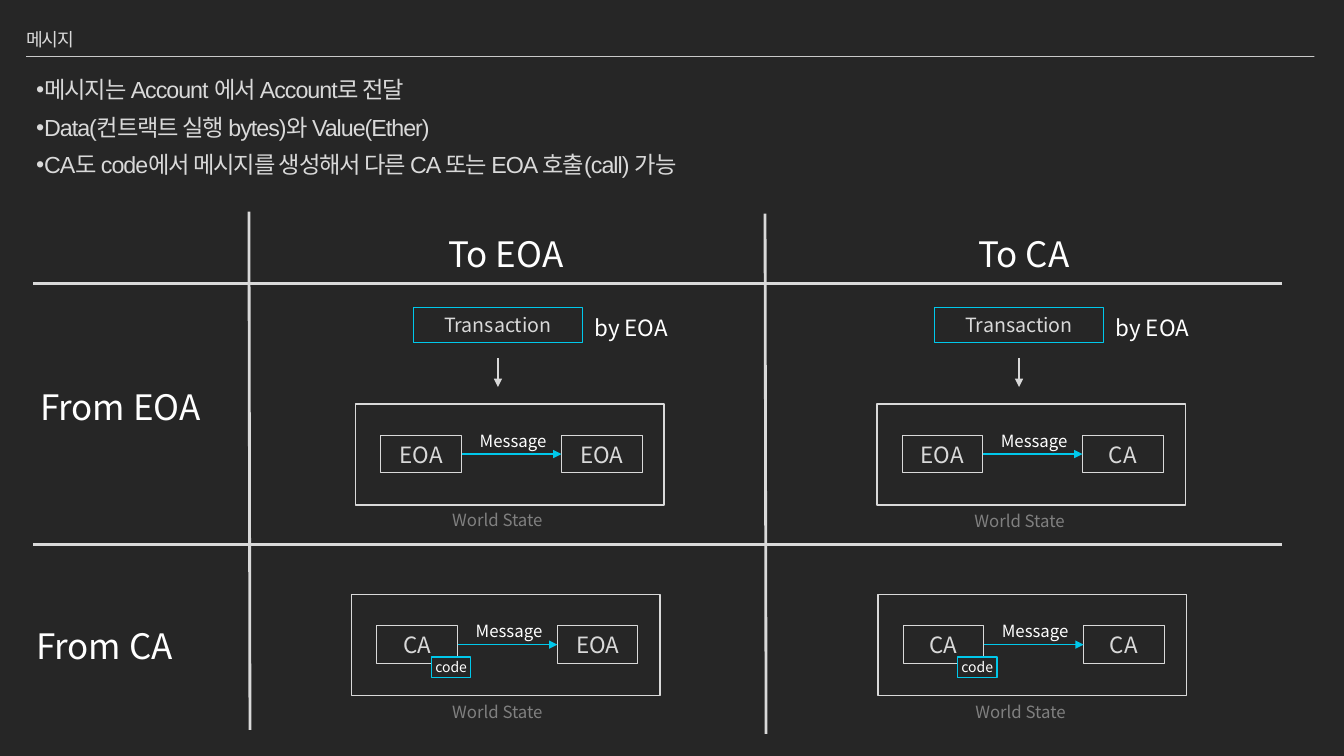
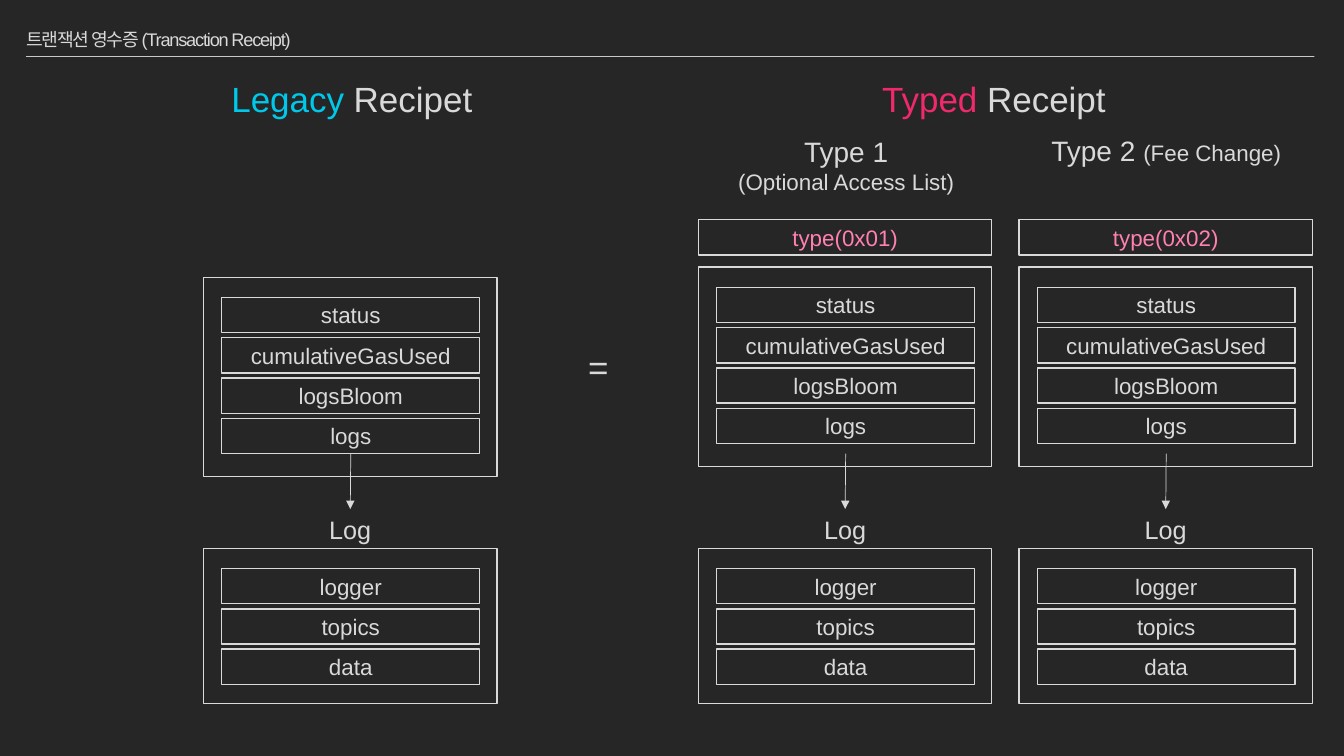
from dataclasses import dataclass
from typing import NamedTuple

from pptx import Presentation, util as u
from pptx.dml.color import RGBColor
from pptx.enum import shapes, text
from pptx.oxml import ns, xmlchemy

PX = 9144  # EMU per px, 100 px to the inch
HUES = {
    "back": "262626", "pale": "D9D9D9", "white": "FFFFFF", "rule": "F2F2F2",
    "cyan": "00C8EB", "grey": "808080", "red": "EF296B", "pink": "FF80B1",
}
SANS, NOTO = "Arial", "Noto Sans CJK KR"
MID, LEFT = text.PP_ALIGN.CENTER, text.PP_ALIGN.LEFT


class Box(NamedTuple):
    x: int
    y: int
    w: int
    h: int


class Look(NamedTuple):
    size: float
    hue: str = "pale"
    font: str = SANS
    track: int = 0


@dataclass
class Cell:
    """One sender and receiver pair in the message grid."""
    x: int
    y: int
    src: str
    dest: str
    state: tuple[int, int]
    signed: bool


@dataclass
class Head:
    """A heading whose second part has its own look."""
    box: Box
    lead: str
    rest: str
    first: Look
    second: Look
    split: bool = False


@dataclass
class Stack:
    """A framed column of fields."""
    x: int
    y: int
    h: int
    names: list[str]


# Text looks
TITLE = Look(13, track=-85)
BODY = Look(16.6, track=-72)
AXIS = Look(25, "white", NOTO)
NODE = Look(16, font=NOTO)
DEED = Look(14, font=NOTO)
BY = Look(16, "white", NOTO)
NOTE = Look(12, "white", NOTO)
STATE = Look(12, "grey", NOTO)
CODE = Look(10, "white", NOTO)
FIELD = Look(16)
KIND = Look(16, "pink")
BIG = Look(25)
SUB = Look(20)


def px(n: int) -> u.Emu:
    return u.Emu(n * PX)


def rgb(hue: str) -> RGBColor:
    return RGBColor.from_string(HUES[hue])


def node(tag: str, **attrs: str):
    el = xmlchemy.OxmlElement(tag)
    for key, val in attrs.items():
        el.set(key, val)
    return el


def style(run, look: Look) -> None:
    run.font.size = u.Pt(look.size)
    run.font.name = look.font
    run.font.color.rgb = rgb(look.hue)
    props = run._r.get_or_add_rPr()
    props.append(node("a:ea", typeface=NOTO))
    if look.track:
        props.set("spc", str(look.track))


def say(shape, words: str, look: Look, align=MID, wrap: bool = True) -> None:
    frame = shape.text_frame
    frame.text = words
    frame.word_wrap = wrap
    frame.vertical_anchor = text.MSO_ANCHOR.MIDDLE
    for para in frame.paragraphs:
        para.alignment = align
        for run in para.runs:
            style(run, look)


def label(slide, box: Box, words: str, look: Look, align=MID, wrap: bool = True):
    shape = slide.shapes.add_textbox(*map(px, box))
    say(shape, words, look, align, wrap)
    return shape


def rect(slide, box: Box, words: str = "", look: Look = FIELD,
         hue: str = "pale", width: float = 1):
    shape = slide.shapes.add_shape(shapes.MSO_SHAPE.RECTANGLE, *map(px, box))
    shape.shadow.inherit = False
    shape.fill.background()
    shape.line.color.rgb = rgb(hue)
    shape.line.width = u.Pt(width)
    if words:
        say(shape, words, look)
    return shape


def line(slide, ends: tuple[int, int, int, int], width: float,
         hue: str = "pale", arrow: bool = False):
    wire = slide.shapes.add_connector(shapes.MSO_CONNECTOR.STRAIGHT, *map(px, ends))
    wire.line.color.rgb = rgb(hue)
    wire.line.width = u.Pt(width)
    if arrow:
        wire.line._get_or_add_ln().append(node("a:tailEnd", type="triangle"))
    wire._element.spPr.append(node("a:effectLst"))
    return wire


def start(prs, title: str):
    """Add a slide with the shared title and rule."""
    slide = prs.slides.add_slide(prs.slide_layouts[6])
    rule = line(slide, (26, 56, 1304, 56), 0.5, "rule")
    tint = rule._element.spPr.find(".//" + ns.qn("a:srgbClr"))
    tint.append(node("a:alpha", val="80000"))
    shape = label(slide, Box(26, 21, 1281, 35), title, TITLE, LEFT)
    shape.text_frame.margin_left = shape.text_frame.margin_right = 0
    shape.text_frame.paragraphs[0].line_spacing = 1.05
    return slide


def points(slide, box: Box, words: list[str]) -> None:
    shape = label(slide, box, "\n".join(words), BODY, LEFT)
    shape.text_frame.vertical_anchor = text.MSO_ANCHOR.TOP
    for para in shape.text_frame.paragraphs:
        para.line_spacing = 0.85
        para.space_before = u.Pt(10)
        props = para._p.get_or_add_pPr()
        props.set("marL", "0")
        props.set("indent", str(-16 * PX))
        props.append(node("a:buFont", typeface=SANS))
        props.append(node("a:buChar", char="•"))


def draw_cell(slide, cell: Cell) -> None:
    x, y = cell.x, cell.y
    rect(slide, Box(x, y, 306, 100))
    src, dest = (
        rect(slide, Box(x + dx, y + 31, 80, 37), name, NODE, width=0.75)
        for dx, name in ((25, cell.src), (204, cell.dest))
    )
    wire = line(slide, (x + 105, y + 50, x + 204, y + 50), 1, "cyan", True)
    wire.begin_connect(src, 3)
    wire.end_connect(dest, 1)
    label(slide, Box(x + 100, y + 22, 112, 28), "Message", NOTE)
    label(slide, Box(*cell.state, 145, 34), "World State", STATE)
    if cell.signed:
        rect(slide, Box(x + 57, 305, 168, 35), "Transaction", DEED, "cyan")
        label(slide, Box(x + 227, 311, 100, 28), "by EOA", BY, LEFT)
        line(slide, (x + 141, 355, x + 141, 384), 1, arrow=True)
    else:
        code = rect(slide, Box(x + 79, y + 62, 39, 20), hue="cyan")
        code.fill.solid()
        code.fill.fore_color.rgb = rgb("back")
        say(code, "code", CODE, wrap=False)
        frame = code.text_frame
        frame.margin_left = frame.margin_right = 0
        frame.margin_top = frame.margin_bottom = 0


def draw_head(slide, head: Head) -> None:
    shape = label(slide, head.box, head.lead, head.first, wrap=False)
    frame = shape.text_frame
    para = frame.add_paragraph() if head.split else frame.paragraphs[0]
    para.alignment = MID
    run = para.add_run()
    run.text = head.rest
    style(run, head.second)


def draw_stack(slide, stack: Stack):
    """Draw the frame and its fields, and return the last field."""
    rect(slide, Box(stack.x, stack.y, 291, stack.h))
    return [
        rect(slide, Box(stack.x + 18, stack.y + 20 + 40 * i, 256, 35), name)
        for i, name in enumerate(stack.names)
    ][-1]


def messages(prs) -> None:
    slide = start(prs, "메시지")
    points(slide, Box(26, 74, 1278, 114), [
        "메시지는 Account 에서 Account로 전달",
        "Data(컨트랙트 실행 bytes)와 Value(Ether)",
        "CA도 code에서 메시지를 생성해서 다른 CA 또는 EOA 호출(call) 가능",
    ])

    # Grid rules and headings
    for ends in ((760, 728, 759, 212), (248, 724, 247, 210),
                 (1272, 281, 33, 281), (1272, 540, 33, 540)):
        line(slide, ends, 2)
    for x, y, words, align in (
        (30, 389, "From EOA", LEFT), (26, 626, "From CA", LEFT),
        (412, 237, "To EOA", MID), (926, 237, "To CA", MID),
    ):
        label(slide, Box(x, y, 180, 28), words, AXIS, align)

    # Grid cells
    for cell in (
        Cell(353, 401, "EOA", "EOA", (421, 499), True),
        Cell(870, 401, "EOA", "CA", (939, 500), True),
        Cell(349, 590, "CA", "EOA", (421, 689), False),
        Cell(871, 590, "CA", "CA", (940, 689), False),
    ):
        draw_cell(slide, cell)


def receipts(prs) -> None:
    slide = start(prs, "트랜잭션 영수증 (Transaction Receipt)")
    for head in (
        Head(Box(218, 72, 262, 52), "Legacy ", "Recipet", Look(25, "cyan"), BIG),
        Head(Box(864, 72, 244, 52), "Typed", " Receipt", Look(25, "red"), BIG),
        Head(Box(721, 128, 237, 71), "Type 1", "(Optional Access List)",
             SUB, FIELD, True),
        Head(Box(1032, 127, 250, 44), "Type 2 ", "(Fee Change)", SUB, FIELD),
    ):
        draw_head(slide, head)
    label(slide, Box(573, 338, 41, 52), "=", BIG, wrap=False)

    # Receipt columns, each with its log below
    for x, y, kind in ((202, 275, ""), (693, 265, "type(0x01)"),
                       (1011, 265, "type(0x02)")):
        if kind:
            rect(slide, Box(x, 218, 291, 35), kind, KIND)
        last = draw_stack(slide, Stack(
            x, y, 198, ["status", "cumulativeGasUsed", "logsBloom", "logs"]))
        draw_stack(slide, Stack(x, 544, 154, ["logger", "topics", "data"]))
        log = label(slide, Box(x + 114, 505, 63, 40), "Log", Look(18), wrap=False)
        wire = line(slide, (x + 146, 450, x + 146, 505), 0.5, arrow=True)
        if not kind:
            wire.begin_connect(last, 2)
        wire.end_connect(log, 0)


def main() -> None:
    prs = Presentation()
    prs.slide_width, prs.slide_height = u.Emu(12192000), px(750)
    fill = prs.slide_master.background.fill
    fill.solid()
    fill.fore_color.rgb = rgb("back")
    messages(prs)
    receipts(prs)
    prs.save("out.pptx")


if __name__ == "__main__":
    main()
